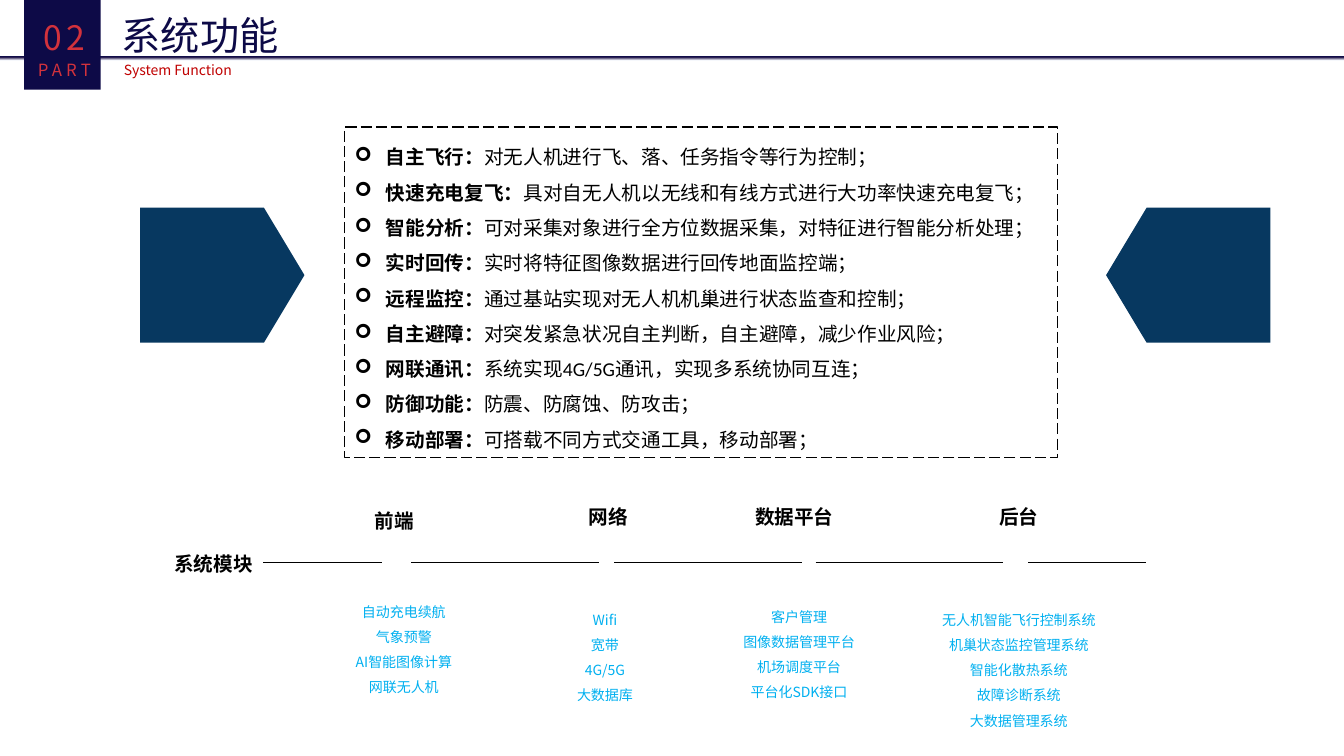
from copy import deepcopy

from lxml import etree
from pptx import Presentation
from pptx.dml.color import RGBColor
from pptx.enum.shapes import MSO_CONNECTOR, MSO_SHAPE
from pptx.enum.dml import MSO_LINE
from pptx.enum.text import MSO_ANCHOR, MSO_AUTO_SIZE, PP_ALIGN
from pptx.oxml.ns import qn
from pptx.util import Inches, Pt

RECT, PENTAGON = MSO_SHAPE.RECTANGLE, MSO_SHAPE.PENTAGON
STRAIGHT, LONG_DASH = MSO_CONNECTOR.STRAIGHT, MSO_LINE.LONG_DASH
LEFT, CENTER, MIDDLE = PP_ALIGN.LEFT, PP_ALIGN.CENTER, MSO_ANCHOR.MIDDLE
GROW = MSO_AUTO_SIZE.SHAPE_TO_FIT_TEXT
SANS, BODY = "Noto Sans CJK SC", "Calibri"
COLORS = {"navy": "0D0A47", "violet": "2C2254", "pale": "F6F8FC", "red": "C00000",
          "coral": "D3323C", "blue": "073860", "sky": "00B0F0",
          "black": "000000", "white": "FFFFFF"}
RGB = {name: RGBColor.from_string(code) for name, code in COLORS.items()}

prs = Presentation()
prs.slide_width, prs.slide_height = Inches(13.33), Inches(7.5)
slide = prs.slides.add_slide(prs.slide_layouts[6])
shapes = slide.shapes


def style(run, size, color, font=SANS, bold=False):
    run.font.size, run.font.name, run.font.bold = Pt(size), font, bold
    run.font.color.rgb = RGB[color]
    etree.SubElement(run.font._element, qn("a:ea")).set("typeface", SANS)


def add_text(box, lines, sizes, color, font=SANS, bold=False, align=LEFT,
             spacing=1.0, wrap=False):
    frame = shapes.add_textbox(*map(Inches, box)).text_frame
    frame.text = "\n".join(lines)
    frame.word_wrap, frame.auto_size = wrap, GROW
    for paragraph, size in zip(frame.paragraphs, sizes):
        paragraph.alignment, paragraph.line_spacing = align, spacing
        style(paragraph.runs[0], size, color, font, bold)
    return frame


# Header: title, subtitle, rule and part number
add_text((1.11, 0.06, 1.76, 0.57), ["系统功能"], [28], "navy")
add_text((1.13, 0.54, 2.91, 0.29), ["System Function"], [10], "red",
         spacing=1.14, wrap=True)

rule = shapes.add_shape(RECT, 0, Inches(0.56), prs.slide_width, Inches(0.04))
rule.shadow.inherit = False
rule.line.fill.background()
rule.fill.gradient()
rule.fill.gradient_angle = 270
stop_list = rule._element.spPr.find(".//" + qn("a:gsLst"))
for stop in list(stop_list):
    stop_list.append(deepcopy(stop))
rule_stops = [(0, "navy"), (0.17, "violet"), (0.26, "violet"), (1, "pale")]
for stop, (position, color) in zip(rule.fill.gradient_stops, rule_stops):
    stop.position, stop.color.rgb = position, RGB[color]

part_block = shapes.add_shape(RECT, Inches(0.24), 0, Inches(0.76), Inches(0.89))
part_block.shadow.inherit = False
part_block.fill.solid()
part_block.fill.fore_color.rgb = RGB["navy"]
part_block.line.fill.background()
part_number = add_text((0.24, 0.06, 0.8, 0.79), ["02", "PART"], [24, 12], "coral",
                       align=CENTER, spacing=1.14, wrap=True)
for paragraph in part_number.paragraphs:
    paragraph.runs[0].font._element.set("spc", "300")

# Function list in the dashed frame
functions = [
    ("自主飞行：", "对无人机进行飞、落、任务指令等行为控制；"),
    ("快速充电复飞：", "具对自无人机以无线和有线方式进行大功率快速充电复飞；"),
    ("智能分析：", "可对采集对象进行全方位数据采集，对特征进行智能分析处理；"),
    ("实时回传：", "实时将特征图像数据进行回传地面监控端；"),
    ("远程监控：", "通过基站实现对无人机机巢进行状态监查和控制；"),
    ("自主避障：", "对突发紧急状况自主判断，自主避障，减少作业风险；"),
    ("网联通讯：", "系统实现4G/5G通讯，实现多系统协同互连；"),
    ("防御功能：", "防震、防腐蚀、防攻击；"),
    ("移动部署：", "可搭载不同方式交通工具，移动部署；"),
]
function_frame = shapes.add_shape(RECT, *map(Inches, (3.42, 1.26, 7.07, 3.28)))
function_frame.shadow.inherit = False
function_frame.fill.solid()
function_frame.fill.fore_color.rgb = RGB["white"]
function_frame.line.color.rgb = RGB["black"]
function_frame.line.width = Pt(1)
function_frame.line.dash_style = LONG_DASH
function_text = function_frame.text_frame
function_text.word_wrap, function_text.auto_size = True, GROW
function_text.vertical_anchor = MIDDLE
for index, (label, detail) in enumerate(functions):
    paragraph = function_text.add_paragraph() if index else function_text.paragraphs[0]
    paragraph.alignment, paragraph.line_spacing = LEFT, 1.5
    properties = paragraph._p.get_or_add_pPr()
    properties.set("marL", str(Inches(0.31)))
    properties.set("indent", str(-Inches(0.31)))
    etree.SubElement(properties, qn("a:buFont")).set("typeface", "Wingdings")
    etree.SubElement(properties, qn("a:buChar")).set("char", "➢")
    for words, bold in ((label, True), (detail, False)):
        run = paragraph.add_run()
        run.text = words
        style(run, 14, "black", BODY, bold)

# Line of system modules
module_y = 5.58
for start, end in [(2.61, 3.79), (4.08, 5.94), (6.09, 7.95), (8.09, 9.95), (10.2, 11.37)]:
    segment = shapes.add_connector(STRAIGHT, Inches(start), Inches(module_y),
                                   Inches(end), Inches(module_y))
    segment.line.color.rgb = RGB["black"]
    segment.line.width = Pt(0.5)
    etree.SubElement(segment._element.spPr, qn("a:effectLst"))

headings = [("系统模块", 1.63, 5.43, 0.98), ("前端", 3.62, 5, 0.59), ("网络", 5.74, 4.96, 0.59),
            ("数据平台", 7.39, 4.96, 0.98), ("后台", 9.81, 4.96, 0.59)]
for heading, left, top, width in headings:
    add_text((left, top, width, 0.34), [heading], [14], "black", BODY, bold=True)

# Items under each module
module_items = [
    ((3.42, 5.85, 1.17, 1.11), True,
     ["自动充电续航", "气象预警", "AI智能图像计算", "网联无人机"]),
    ((5.62, 5.93, 0.76, 1.11), False, ["Wifi", "宽带", "4G/5G", "大数据库"]),
    ((7.27, 5.9, 1.31, 1.11), False,
     ["客户管理", "图像数据管理平台", "机场调度平台", "平台化SDK接口"]),
    ((9.24, 5.93, 1.73, 1.61), True,
     ["无人机智能飞行控制系统", "机巢状态监控管理系统", "智能化散热系统",
      "故障诊断系统", "大数据管理系统"]),
]
for box, wrap, items in module_items:
    add_text(box, items, [10] * len(items), "sky", align=CENTER, spacing=1.5, wrap=wrap)

# Pentagons pointing at the function list
for left, rotation in ((1.39, 0), (10.97, 180)):
    pointer = shapes.add_shape(PENTAGON, *map(Inches, (left, 2.06, 1.63, 1.34)))
    pointer.shadow.inherit = False
    pointer.adjustments[0] = 0.3
    pointer.rotation = rotation
    pointer.fill.solid()
    pointer.fill.fore_color.rgb = RGB["blue"]
    pointer.line.fill.background()

prs.save("out.pptx")
